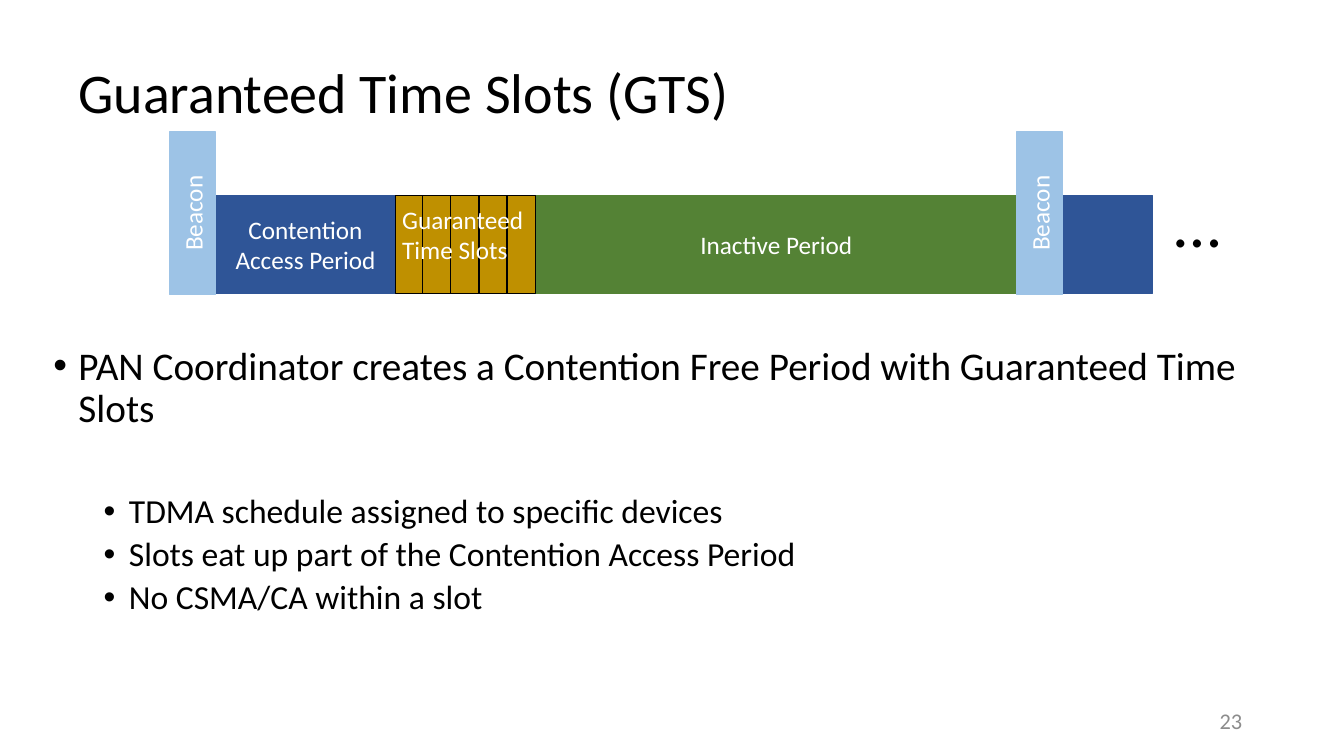
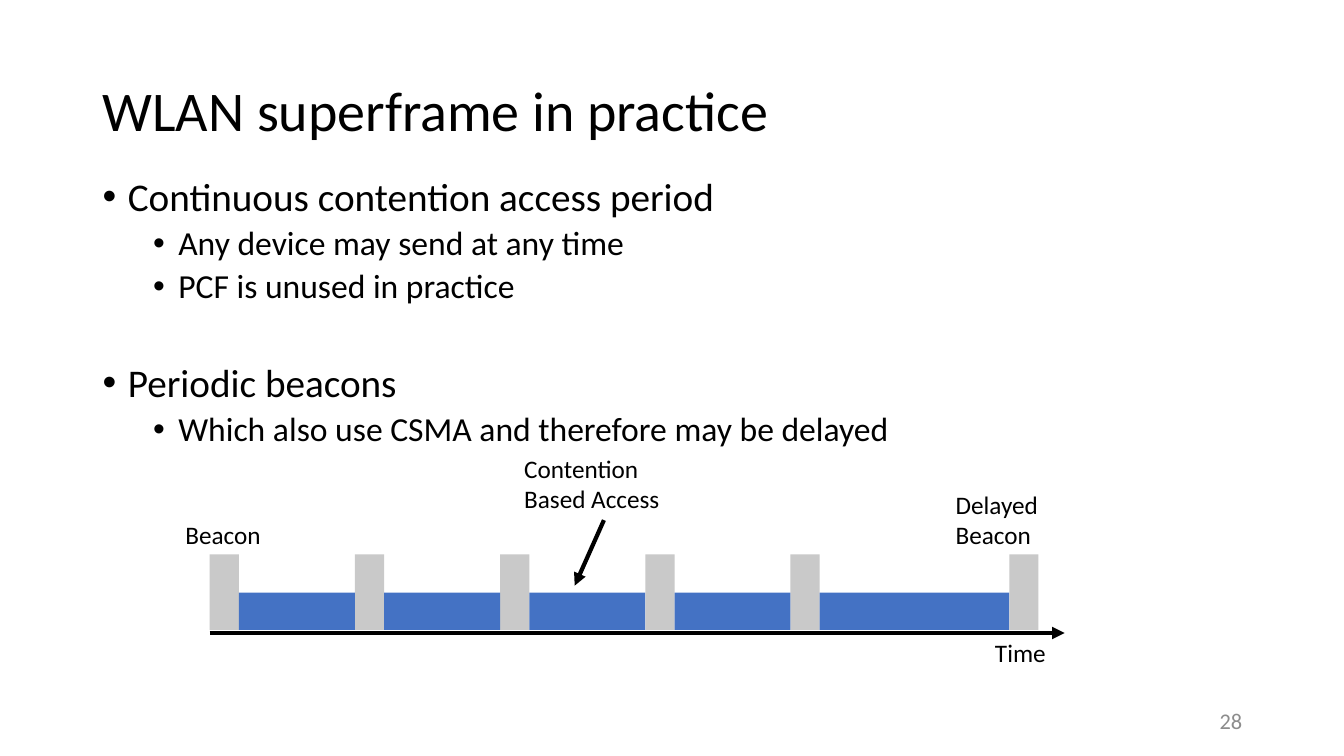
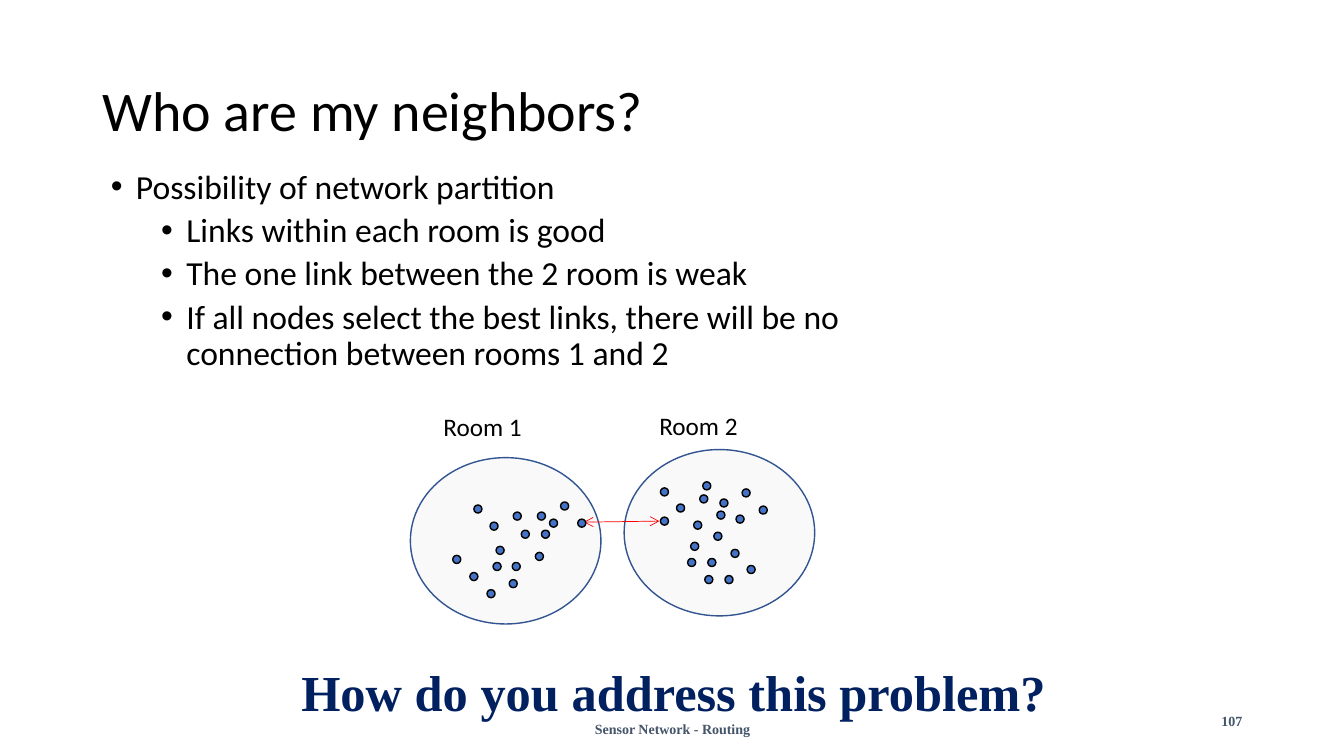
from lxml.etree import SubElement as Sub
from pptx import Presentation
from pptx.dml.color import RGBColor as RGB
from pptx.enum.shapes import MSO_CONNECTOR as LINK, MSO_SHAPE as KIND
from pptx.enum.text import MSO_ANCHOR as ANCHOR, PP_ALIGN as ALIGN
from pptx.oxml.ns import qn
from pptx.util import Pt

PX = 9144  # 100 px to the inch

BLACK = RGB(0x00, 0x00, 0x00)
WHITE = RGB(0xFF, 0xFF, 0xFF)
GREY = RGB(0x8C, 0x8C, 0x8C)
SILVER = RGB(0xC9, 0xC9, 0xC9)
PALE = RGB(0xF9, 0xF9, 0xF9)
NAVY = RGB(0x2F, 0x55, 0x97)
SKY = RGB(0x9D, 0xC3, 0xE6)
GREEN = RGB(0x54, 0x82, 0x35)
GOLD = RGB(0xBF, 0x90, 0x00)
BLUE = RGB(0x44, 0x72, 0xC4)
RIM = RGB(0x32, 0x54, 0x91)
RED = RGB(0xFF, 0x00, 0x00)
INK = RGB(0x00, 0x20, 0x60)
SLATE = RGB(0x44, 0x54, 0x6A)
SANS, SERIF = "Calibri", "Times New Roman"


def put(slide, box, fill=None, line=None, kind=KIND.RECTANGLE):
    """Add a filled shape, or a text box if there is no fill."""
    box = [n * PX for n in box]
    if fill is None:
        return slide.shapes.add_textbox(*box)
    shape = slide.shapes.add_shape(kind, *box)
    shape.shadow.inherit = False
    shape.fill.solid()
    shape.fill.fore_color.rgb = fill
    if line is None:
        shape.line.fill.background()
    else:
        shape.line.color.rgb = line
        shape.line.width = Pt(1)
    return shape


def write(shape, lines, size=18, color=BLACK, align=ALIGN.LEFT,
          anchor=ANCHOR.TOP, face=SANS, bold=False):
    """Fill a shape with one paragraph per line."""
    frame = shape.text_frame
    frame.word_wrap = True
    frame.vertical_anchor = anchor
    for i, line in enumerate(lines):
        para = frame.add_paragraph() if i else frame.paragraphs[0]
        para.alignment = align
        run = para.add_run()
        run.text = line
        font = run.font
        font.name, font.size, font.bold = face, Pt(size), bold
        font.color.rgb = color
    return frame


deck = Presentation()
deck.slide_width, deck.slide_height = 1333 * PX, 750 * PX

# Title, bullets and number; a bullet is level, size, space before, text
PLAIN = dict(size=16, color=GREY)
STRONG = dict(size=10, color=SLATE, face=SERIF, bold=True)
pages = [
    ("Guaranteed Time Slots (GTS)", (68, 22), (43, 339, 1268, 336), [
        (0, 28, 10, "PAN Coordinator creates a Contention Free Period "
                    "with Guaranteed Time Slots"),
        (1, 24, 45, "TDMA schedule assigned to specific devices"),
        (1, 24, 5, "Slots eat up part of the Contention Access Period"),
        (1, 24, 5, "No CSMA/CA within a slot"),
    ], "23", PLAIN),
    ("WLAN superframe in practice", (92, 40), (92, 171, 1150, 476), [
        (0, 28, 10, "Continuous contention access period"),
        (1, 24, 5, "Any device may send at any time"),
        (1, 24, 5, "PCF is unused in practice"),
        (0, 28, 41, "Periodic beacons"),
        (1, 24, 5, "Which also use CSMA and therefore may be delayed"),
    ], "28", PLAIN),
    ("Who are my neighbors?", (92, 40), (100, 164, 898, 256), [
        (0, 24, 10, "Possibility of network partition"),
        (1, 24, 5, "Links within each room is good"),
        (1, 24, 5, "The one link between the 2 room is weak"),
        (1, 24, 5, "If all nodes select the best links, there will be no "
                   "connection between rooms 1 and 2"),
    ], "107", STRONG),
]
slides = []
for title, spot, area, items, num, style in pages:
    slide = deck.slides.add_slide(deck.slide_layouts[6])
    slides.append(slide)
    head = write(put(slide, (*spot, 1150, 145)), [title], 40,
                 anchor=ANCHOR.MIDDLE)
    head.paragraphs[0].line_spacing = 0.9
    body = write(put(slide, area), [item[3] for item in items])
    for para, (level, size, gap, _) in zip(body.paragraphs, items):
        para.line_spacing = 0.9
        para.space_before = Pt(gap)
        para.runs[0].font.size = Pt(size)
        props = para._p.get_or_add_pPr()
        props.set("marL", str((25 + 50 * level) * PX))
        props.set("indent", str(-25 * PX))
        Sub(props, qn("a:buFont"), typeface="Arial")
        Sub(props, qn("a:buChar"), char="•")
    write(put(slide, (942, 695, 300, 40)), [num], align=ALIGN.RIGHT,
          anchor=ANCHOR.MIDDLE, **style)
slots, wlan, rooms = slides

# Superframe with guaranteed slots
for left, wide, fill, label in [
    (214, 178, NAVY, "Contention Access Period"),
    (531, 478, GREEN, "Inactive Period"),
    (1054, 89, NAVY, None),
]:
    bar = put(slots, (left, 194, wide, 97), fill, fill)
    if label:
        write(bar, [label], 18, WHITE, ALIGN.CENTER, ANCHOR.MIDDLE)
for left in (168, 1008):
    bar = put(slots, (left, 131, 46, 161), SKY, SKY)
    frame = write(bar, ["Beacon"], 18, WHITE, ALIGN.CENTER, ANCHOR.MIDDLE)
    frame._txBody.bodyPr.set("vert", "vert270")
for i in range(5):
    put(slots, (392 + i * 139 // 5, 194, 28, 97), GOLD, BLACK)
write(put(slots, (389, 198, 149, 71)), ["Guaranteed Time Slots"], 18, WHITE)
write(put(slots, (1155, 173, 103, 91)), ["…"], 48, anchor=ANCHOR.MIDDLE)

# Beacons with contention periods between them
marks = [208 + 144 * i for i in range(5)] + [1001]
for left in marks:
    put(wlan, (left, 550, 29, 75), SILVER)
for left, right in zip(marks, marks[1:]):
    put(wlan, (left + 29, 588, right - left - 29, 37), BLUE)
for box, lines in [
    ((977, 627, 78, 40), ["Time"]),
    ((938, 480, 128, 71), ["Delayed Beacon"]),
    ((174, 510, 128, 40), ["Beacon"]),
    ((510, 445, 178, 71), ["Contention", "Based Access"]),
]:
    write(put(wlan, box), lines)

# Two rooms
for name, left, top, tag in [
    ("Room 1", 407, 454, (430, 403)),
    ("Room 2", 619, 446, (644, 402)),
]:
    put(rooms, (left, top, 189, 165), PALE, RIM, KIND.OVAL)
    write(put(rooms, (*tag, 99, 40)), [name])

# Time axis, pointer and the weak link
for slide, ends, color, width, tips in [
    (wlan, (208, 628, 1056, 628), BLACK, 3, {"tailEnd": "triangle"}),
    (wlan, (599, 516, 570, 581), BLACK, 3, {"tailEnd": "triangle"}),
    (rooms, (579, 518, 654, 517), RED, 0.5,
     {"headEnd": "arrow", "tailEnd": "arrow"}),
]:
    link = slide.shapes.add_connector(LINK.STRAIGHT, *[n * PX for n in ends])
    link.line.color.rgb = color
    link.line.width = Pt(width)
    for end, tip in tips.items():
        Sub(link.line._get_or_add_ln(), qn("a:" + end), type=tip)
    Sub(link._element.spPr, qn("a:effectLst"))

# Sensor nodes, first room then second
nodes = [
    (470, 501), (486, 518), (509, 508), (449, 551), (489, 558), (466, 568),
    (483, 585), (492, 542), (531, 548), (505, 575), (545, 515), (508, 558),
    (517, 526), (556, 498), (533, 508), (537, 526), (573, 515),
    (697, 478), (736, 485), (714, 495), (730, 511), (753, 502), (682, 554),
    (708, 528), (685, 538), (699, 571), (725, 545), (702, 554), (719, 571),
    (741, 561), (655, 484), (655, 513), (694, 491), (671, 500), (688, 517),
    (711, 507),
]
for spot in nodes:
    put(rooms, (*spot, 8, 8), BLUE, BLACK, KIND.OVAL)

# Question and footer
write(put(rooms, (289, 651, 766, 71)), ["How do you address this problem?"],
      36, INK, face=SERIF, bold=True)
write(put(rooms, (442, 703, 450, 40)), ["Sensor Network - Routing"],
      align=ALIGN.CENTER, anchor=ANCHOR.MIDDLE, **STRONG)

deck.save("out.pptx")
